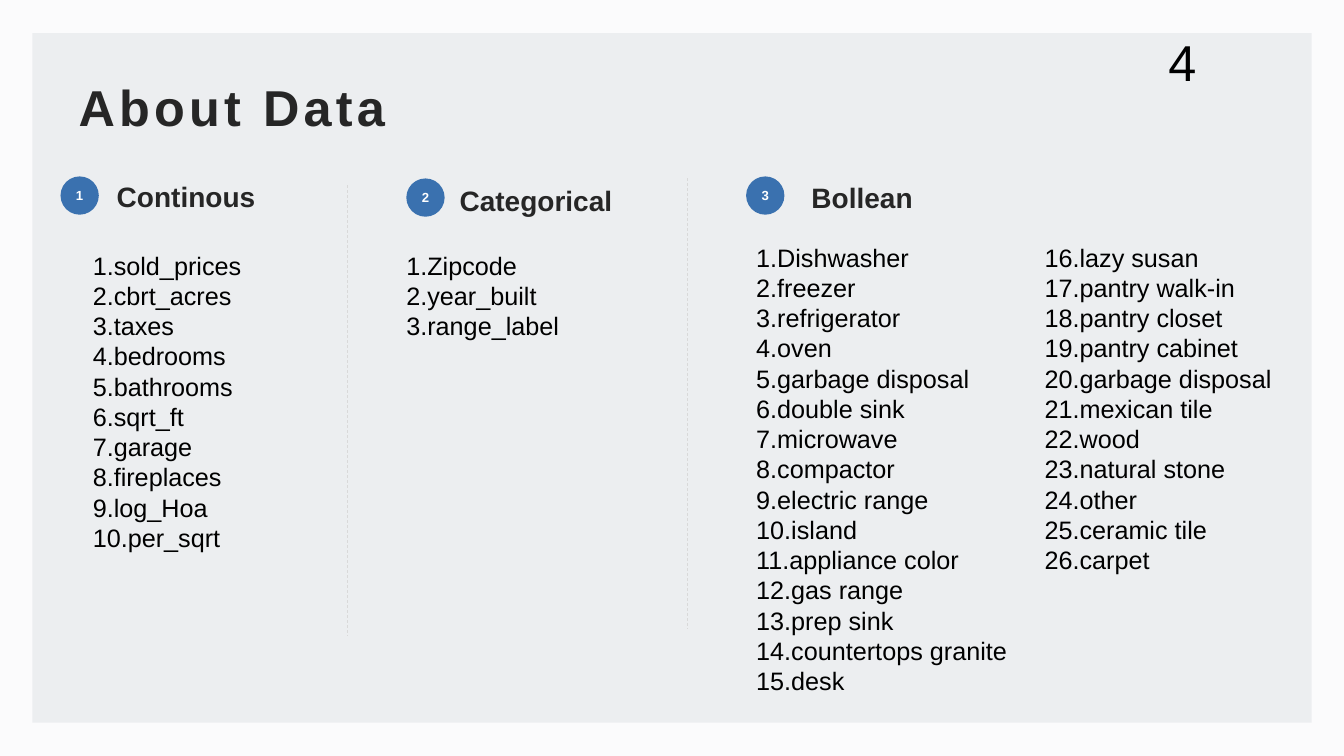
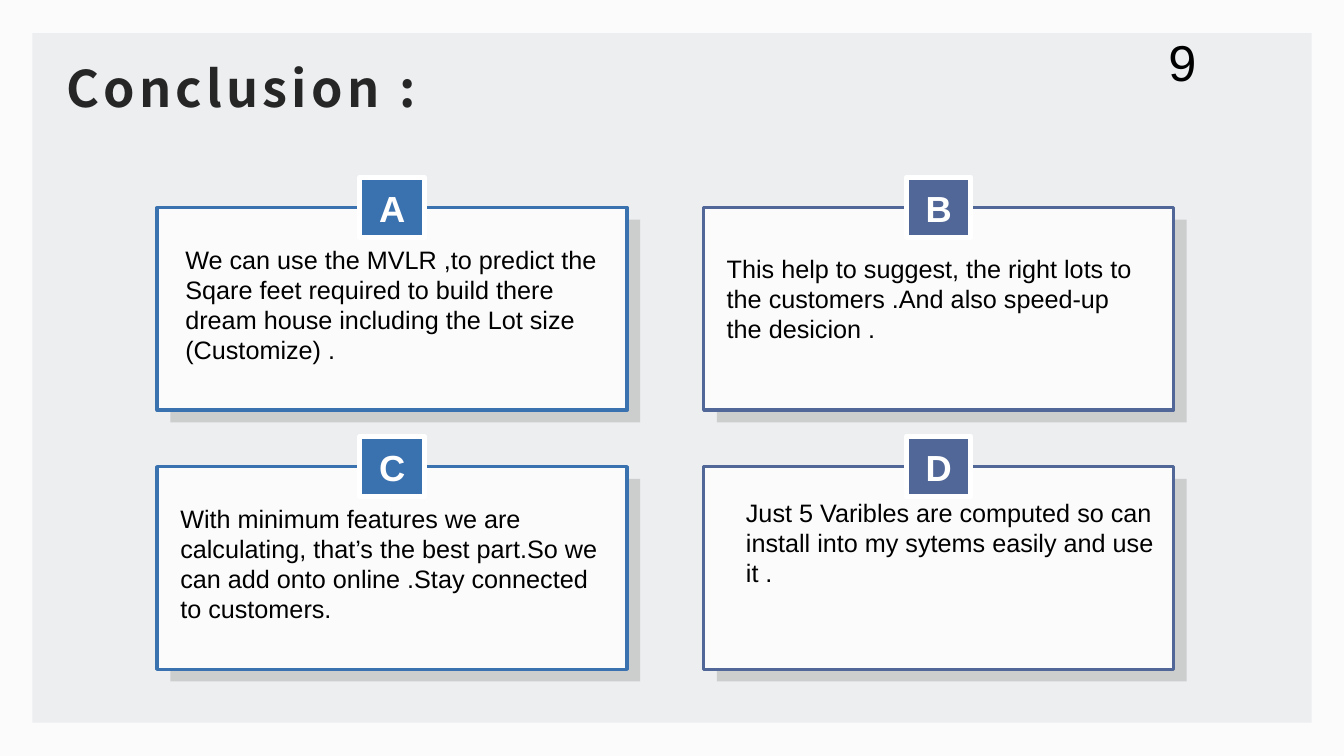
from lxml import etree
from pptx import Presentation
from pptx.dml.color import RGBColor
from pptx.enum.dml import MSO_LINE_DASH_STYLE as DASH
from pptx.enum.shapes import MSO_CONNECTOR, MSO_SHAPE as SHAPE
from pptx.enum.text import MSO_ANCHOR as ANCHOR, MSO_AUTO_SIZE as AUTOSIZE, PP_ALIGN as ALIGN
from pptx.oxml.ns import qn
from pptx.util import Inches, Pt

COLORS = {
    "page": "FBFBFC", "panel": "ECEEF0", "title": "262626", "text": "000000",
    "white": "FFFFFF", "blue": "3A71AF", "indigo": "516798",
    "divider": "D9D9D9", "shadow": "BFBFBF",
}
TITLE = {"name": "Arial", "size": Pt(36), "bold": True, "color": "title"}
HEADING = {"name": "Arial", "size": Pt(20), "bold": True, "color": "title"}
BODY = {"name": "Arial", "size": Pt(18), "bold": False, "color": "text"}
NUMBER = {"name": "Arial", "size": Pt(36), "bold": False, "color": "text"}
MARKER = {"name": "Arial", "size": Pt(9.4), "bold": True, "color": "white"}
BADGE = {"name": "Arial", "size": Pt(25.9), "bold": True, "color": "white"}
TITLE_FRAME = {
    "margin_left": Inches(0.11), "margin_top": Inches(0.04),
    "margin_right": Inches(0.08), "margin_bottom": Inches(0.04),
    "vertical_anchor": ANCHOR.MIDDLE,
}
LABEL_FRAME = {
    "margin_left": 0, "margin_top": 0, "margin_right": 0, "margin_bottom": 0,
    "vertical_anchor": ANCHOR.MIDDLE, "word_wrap": False,
}


def write(holder, lines, style, frame_format=None, align=ALIGN.LEFT, before=0):
    frame = holder.text_frame
    frame.word_wrap = True
    frame.auto_size = AUTOSIZE.NONE
    frame.vertical_anchor = ANCHOR.TOP
    for key, value in (frame_format or {}).items():
        setattr(frame, key, value)
    frame.text = "\n".join(lines)
    for line in frame.paragraphs:
        line.alignment = align
        line.space_before = Pt(before)
        font = line.runs[0].font
        for key, value in style.items():
            if key == "color":
                font.color.rgb = RGBColor.from_string(COLORS[value])
            else:
                setattr(font, key, value)


def draw(slide, kind, box, fill, line=None, weight=0):
    shape = slide.shapes.add_shape(kind, *map(Inches, box))
    shape.shadow.inherit = False
    shape.fill.solid()
    shape.fill.fore_color.rgb = RGBColor.from_string(COLORS[fill])
    if line:
        shape.line.color.rgb = RGBColor.from_string(COLORS[line])
        shape.line.width = Pt(weight)
    else:
        shape.line.fill.background()
    return shape


prs = Presentation()
prs.slide_width, prs.slide_height = Inches(13.33), Inches(7.5)
backdrop = prs.slide_master.background.fill
backdrop.solid()
backdrop.fore_color.rgb = RGBColor.from_string(COLORS["page"])

pages = []
for layout, heading, number, left, top, font_name in [
    (4, "About Data", "4", 0.67, 0.67, "Arial"),
    (5, "Conclusion :", "9", 0.55, 0.48, "Noto Sans CJK SC"),
]:
    page = prs.slides.add_slide(prs.slide_layouts[layout])
    pages.append(page)
    title = page.shapes.title
    panel = draw(page, SHAPE.RECTANGLE, (0.32, 0.33, 12.69, 6.84), "panel")
    title.element.addprevious(panel.element)
    title.left, title.top, title.width, title.height = map(Inches, (left, top, 12, 0.77))
    write(title, [heading], TITLE | {"name": font_name}, TITLE_FRAME)
    run_format = title.text_frame.paragraphs[0].runs[0].font
    for props in title.element.iter(qn("a:rPr")):
        props.set("spc", "300")
        for script in ("a:ea", "a:cs"):
            etree.SubElement(props, qn(script)).set("typeface", run_format.name)
    page_number = page.shapes.add_textbox(*map(Inches, (11.49, 0.26, 1.22, 0.71)))
    write(page_number, [number], NUMBER)

data_page, conclusion_page = pages

for x, top in [(3.45, 1.84), (6.82, 1.77)]:
    divider = data_page.shapes.add_connector(
        MSO_CONNECTOR.STRAIGHT, *map(Inches, (x, top, x, top + 4.47)))
    divider.line.color.rgb = RGBColor.from_string(COLORS["divider"])
    divider.line.width = Pt(0.5)
    divider.line.dash_style = DASH.DASH
    etree.SubElement(divider.element.spPr, qn("a:effectLst"))

groups = [
    ("Continous", 0.6, 1.75, 1.06, 1.73, 3.2),
    ("Categorical", 4.03, 1.77, 4.46, 1.77, 2.49),
    ("Bollean", 7.4, 1.75, 7.95, 1.74, 3.2),
]
for order, (name, marker_x, marker_y, name_x, name_y, width) in enumerate(groups, 1):
    marker = draw(data_page, SHAPE.OVAL, (marker_x, marker_y, 0.38, 0.38), "blue")
    write(marker, [str(order)], MARKER, LABEL_FRAME, ALIGN.CENTER)
    group_name = data_page.shapes.add_textbox(*map(Inches, (name_x, name_y, width, 0.44)))
    write(group_name, [name], HEADING)

feature_lists = [
    ((0.82, 2.43, 3.37, 4.33), [
        "1.sold_prices", "2.cbrt_acres", "3.taxes", "4.bedrooms", "5.bathrooms",
        "6.sqrt_ft", "7.garage", "8.fireplaces", "9.log_Hoa", "10.per_sqrt"]),
    ((3.93, 2.43, 2.57, 4.33), ["1.Zipcode", "2.year_built", "3.range_label"]),
    ((7.4, 2.35, 2.75, 4.67), [
        "1.Dishwasher", "2.freezer", "3.refrigerator", "4.oven", "5.garbage disposal",
        "6.double sink", "7.microwave", "8.compactor", "9.electric range", "10.island",
        "11.appliance color", "12.gas range", "13.prep sink",
        "14.countertops granite", "15.desk"]),
    ((10.26, 2.35, 2.75, 4.67), [
        "16.lazy susan", "17.pantry walk-in", "18.pantry closet 19.pantry cabinet",
        "20.garbage disposal", "21.mexican tile", "22.wood", "23.natural stone",
        "24.other", "25.ceramic tile", "26.carpet"]),
]
for idx, (box, features) in enumerate(feature_lists, 1):
    feature_list = data_page.placeholders[idx]
    (feature_list.left, feature_list.top,
     feature_list.width, feature_list.height) = map(Inches, box)
    write(feature_list, features, BODY)
    for props in feature_list.element.iter(qn("a:pPr")):
        props.set("marL", "0")
        props.set("indent", "0")
        etree.SubElement(props, qn("a:buNone"))

conclusions = [
    ("A", 1.74, 2.37, "We can use the MVLR ,to predict the Sqare feet required to build "
                      "there dream house including the Lot size (Customize) ."),
    ("B", 7.11, 2.46, "This help to suggest, the right lots to the customers .And also "
                      "speed-up the desicion ."),
    ("C", 1.69, 4.94, "With minimum features we are calculating, that’s the best part.So "
                      "we can add onto online .Stay connected to customers."),
    ("D", 7.3, 4.88, "Just 5 Varibles are computed so can install into my sytems easily "
                     "and use it ."),
]
for position, (letter, text_x, text_y, statement) in enumerate(conclusions):
    row, column = divmod(position, 2)
    x, y = 1.56 + 5.42 * column, 2.06 + 2.57 * row
    accent = ("blue", "indigo")[column]
    shade = draw(conclusion_page, SHAPE.RECTANGLE, (x + 0.13, y + 0.12, 4.66, 2.01), "shadow")
    for tint in shade.element.spPr.iter(qn("a:srgbClr")):
        etree.SubElement(tint, qn("a:alpha")).set("val", "70000")
    draw(conclusion_page, SHAPE.RECTANGLE, (x, y, 4.66, 2.01), "page", accent, 2.5)
    badge = draw(conclusion_page, SHAPE.RECTANGLE, (x + 2.01, y - 0.3, 0.64, 0.6),
                 accent, "white", 3.5)
    write(badge, [letter], BADGE, LABEL_FRAME, ALIGN.CENTER)
    remark = conclusion_page.shapes.add_textbox(*map(Inches, (text_x, text_y, 4.34, 1.62)))
    write(remark, [statement], BODY, before=10)

prs.save("out.pptx")
